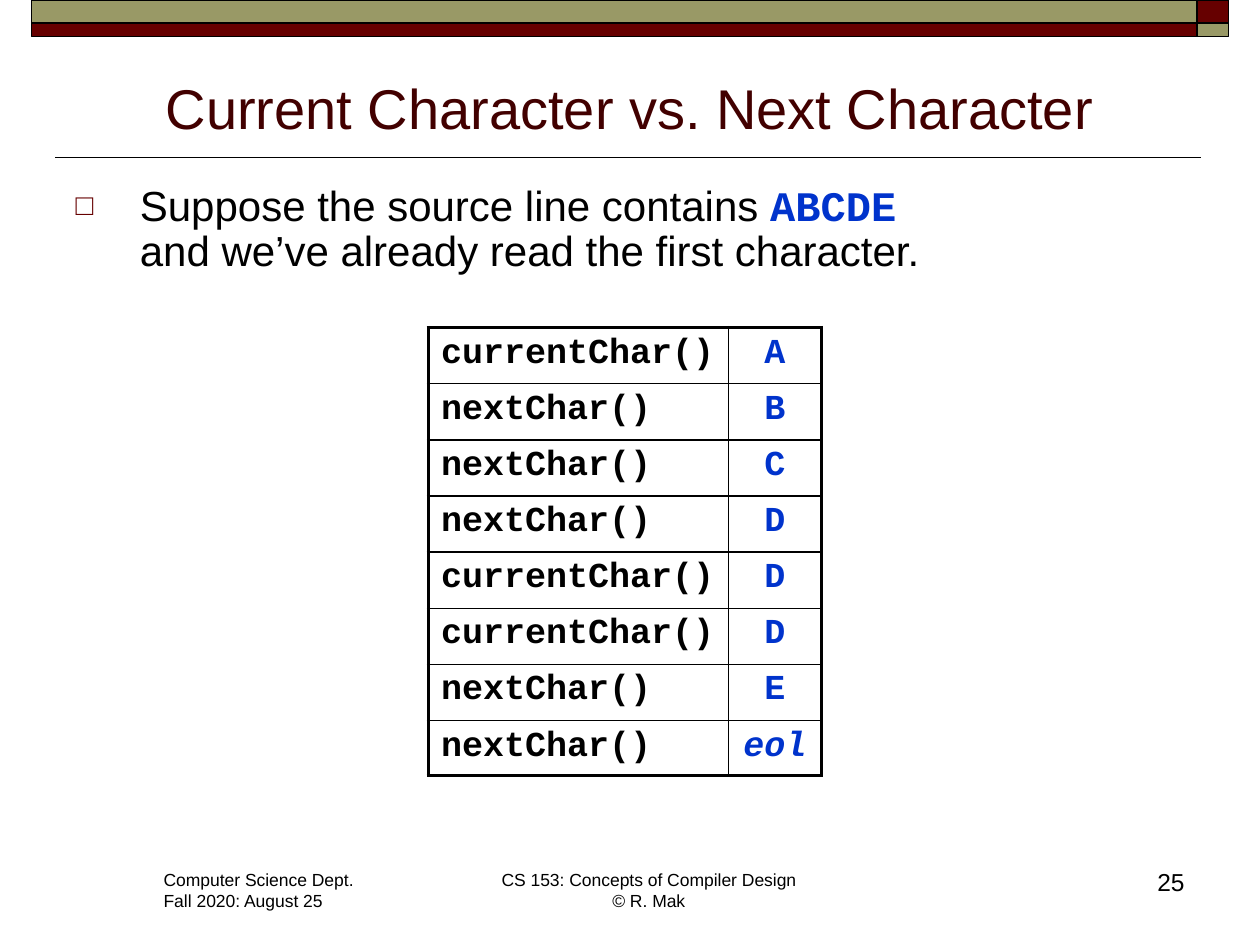
import pptx
import pptx.util
import pptx.dml.color
import pptx.enum.shapes
import pptx.enum.text
import pptx.oxml
import pptx.oxml.ns

Pt = pptx.util.Pt
ALIGN = pptx.enum.text.PP_ALIGN
ANCHOR = pptx.enum.text.MSO_ANCHOR
BLACK, MAROON, OLIVE, DARK_RED, BLUE = "000000", "660000", "999966", "420000", "0033CC"
CODE = "Courier New"

# Content
HEADING = "Current Character vs. Next Character"
STATEMENT = [("Suppose the source line contains ", {}),
             ("ABCDE\n", dict(font=CODE, color=BLUE, bold=True)),
             ("and we’ve already read the first character.", {})]
CALLS = [("currentChar()", "A"), ("nextChar()", "B"), ("nextChar()", "C"),
         ("nextChar()", "D"), ("currentChar()", "D"), ("currentChar()", "D"),
         ("nextChar()", "E"), ("nextChar()", "eol")]
FOOTERS = [  # text, box, size, alignment, wrap
    ("Computer Science Dept.\nFall 2020: August 25", (86.4, 493.2, 123.8, 31.7), 10, ALIGN.LEFT, False),
    ("CS 153: Concepts of Compiler Design\n© R. Mak", (278.6, 493.2, 184.3, 31.7), 10, ALIGN.CENTER, False),
    ("25", (534.2, 491.8, 149.8, 36), 14, ALIGN.RIGHT, True)]

# Geometry
BAND_X, BAND_SPLIT, BAND_END = 18, 684, 702
BAND_Y = (0, 13, 20.9)
COLUMNS = (171.4, 53.3)
ROW_HEIGHT, LAST_ROW_HEIGHT = 32.1, 30
THIN, THICK = 1, 2.25


def rgb(color):
    return pptx.dml.color.RGBColor.from_string(color)


def write(paragraph, text, size=24, font="Arial", color=BLACK, bold=False, italic=False, align=None):
    if align is not None:
        paragraph.alignment = align
    for number, line in enumerate(text.split("\n")):
        if number:
            paragraph.add_line_break()
        if line:
            run = paragraph.add_run()
            run.text = line
            run.font.size, run.font.name = Pt(size), font
            run.font.bold, run.font.italic = bold, italic
            run.font.color.rgb = rgb(color)


def place(shape, box):
    shape.left, shape.top, shape.width, shape.height = map(Pt, box)


def add_xml(parent, xml, index=None):
    element = pptx.oxml.parse_xml(xml.replace(">", f" {pptx.oxml.ns.nsdecls('a')}>", 1)
                                  if not xml.split(">")[0].endswith("/")
                                  else xml.replace("/>", f" {pptx.oxml.ns.nsdecls('a')}/>", 1))
    parent.insert(len(parent) if index is None else index, element)


def border(cell, widths):
    for index, (side, width) in enumerate(zip("LRTB", widths)):
        add_xml(cell._tc.get_or_add_tcPr(),
                f'<a:ln{side} w="{Pt(width)}"><a:solidFill><a:srgbClr val="{BLACK}"/>'
                f'</a:solidFill></a:ln{side}>', index)


deck = pptx.Presentation()
deck.slide_width, deck.slide_height = Pt(720), Pt(540)
slide = deck.slides.add_slide(deck.slide_layouts[1])
shapes = slide.shapes

# Rule below the heading
rule = shapes.add_connector(pptx.enum.shapes.MSO_CONNECTOR.STRAIGHT, Pt(686.2), Pt(90), Pt(31.7), Pt(90))
rule.line.color.rgb, rule.line.width = rgb(BLACK), Pt(1)
add_xml(rule._element.spPr, "<a:effectLst/>")

# Two-tone band: the colours swap in the right corner
for level, (wide_color, corner_color) in enumerate([(OLIVE, MAROON), (MAROON, OLIVE)]):
    top, bottom = BAND_Y[level:level + 2]
    for left, right, color in [(BAND_X, BAND_SPLIT, wide_color), (BAND_SPLIT, BAND_END, corner_color)]:
        bar = shapes.add_shape(pptx.enum.shapes.MSO_SHAPE.RECTANGLE,
                               *map(Pt, (left, top, right - left, bottom - top)))
        bar.shadow.inherit = False
        bar.fill.solid()
        bar.fill.fore_color.rgb = rgb(color)
        bar.line.color.rgb, bar.line.width = rgb(BLACK), Pt(1)

# Footers
for text, box, size, align, wrap in FOOTERS:
    footer = shapes.add_textbox(*map(Pt, box))
    footer.text_frame.word_wrap = wrap
    write(footer.text_frame.paragraphs[0], text, size=size, align=align)

# Heading
heading = shapes.title
place(heading, (36, 32.4, 648, 51.8))
heading.text_frame.auto_size = pptx.enum.text.MSO_AUTO_SIZE.NONE
heading.text_frame.vertical_anchor = ANCHOR.BOTTOM
write(heading.text_frame.paragraphs[0], HEADING, size=32, color=DARK_RED, align=ALIGN.CENTER)

# Bulleted statement
statement = slide.placeholders[1]
place(statement, (36, 102.2, 649.4, 59.8))
statement.text_frame.auto_size = pptx.enum.text.MSO_AUTO_SIZE.NONE
sentence = statement.text_frame.paragraphs[0]
sentence.line_spacing = 0.9
for text, style in STATEMENT:
    write(sentence, text, **style)
bullet = sentence._p.get_or_add_pPr()
bullet.set("marL", str(Pt(36.7)))
bullet.set("indent", str(-Pt(36.7)))
add_xml(bullet, f'<a:buClr><a:srgbClr val="{MAROON}"/></a:buClr>')
add_xml(bullet, '<a:buSzPct val="70000"/>')
add_xml(bullet, '<a:buFont typeface="Arial"/>')
add_xml(bullet, '<a:buChar char="□"/>')

# Table of calls and the characters they return
last = len(CALLS) - 1
heights = [ROW_HEIGHT] * last + [LAST_ROW_HEIGHT]
calls = shapes.add_table(len(CALLS), 2, Pt(244.8), Pt(187.2), Pt(sum(COLUMNS)), Pt(sum(heights))).table
calls.first_row = calls.horz_banding = False
for column, width in zip(calls.columns, COLUMNS):
    column.width = Pt(width)
for r, (pair, height) in enumerate(zip(CALLS, heights)):
    calls.rows[r].height = Pt(height)
    for c, text in enumerate(pair):
        cell = calls.cell(r, c)
        cell.fill.background()
        outer = (c == 0, c == 1, r == 0, r == last)
        border(cell, [THICK if edge else THIN for edge in outer])
        write(cell.text_frame.paragraphs[0], text, size=20, font=CODE, bold=True,
              italic=text == "eol", color=BLUE if c else BLACK,
              align=ALIGN.CENTER if c else ALIGN.LEFT)

deck.save("out.pptx")
